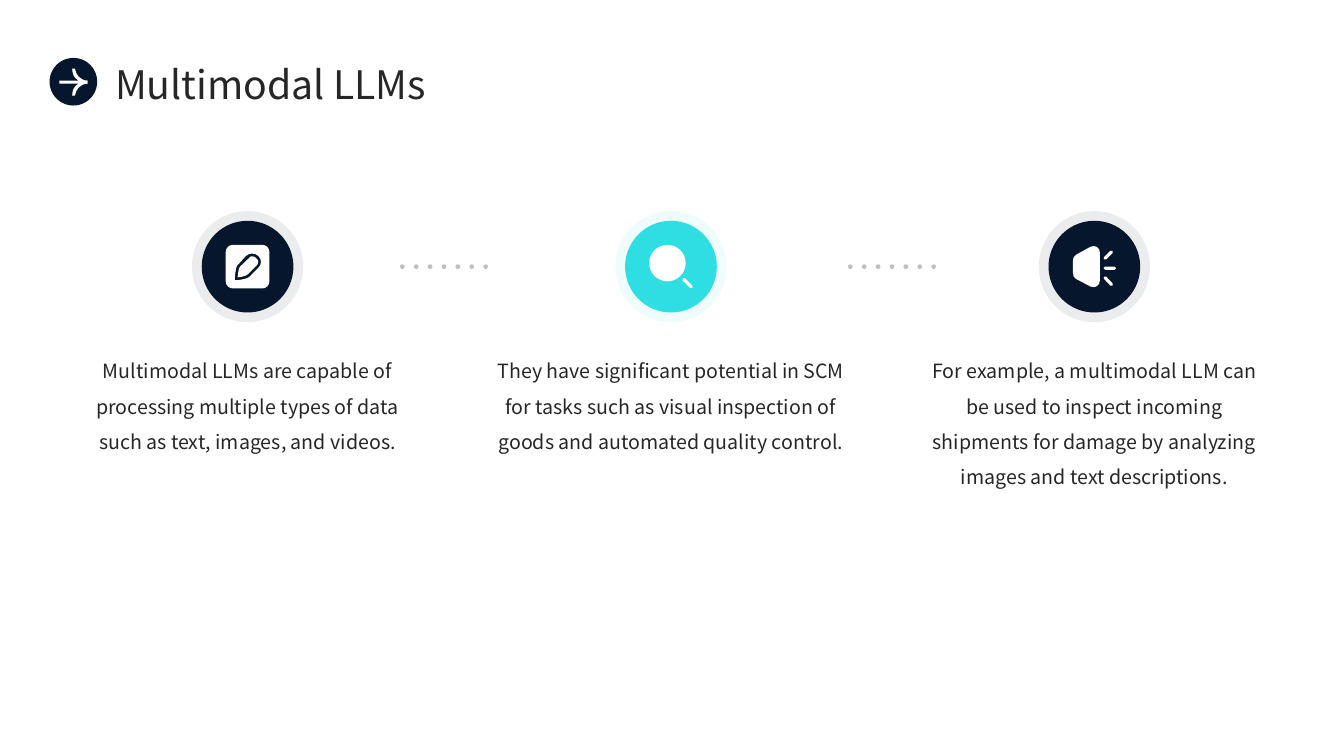
from math import hypot

from lxml.etree import SubElement
from pptx import Presentation
from pptx.dml.color import RGBColor
from pptx.enum.shapes import MSO_SHAPE
from pptx.enum.text import MSO_ANCHOR, MSO_AUTO_SIZE, PP_ALIGN
from pptx.oxml.ns import qn
from pptx.util import Cm, Pt

NAVY = RGBColor(0x06, 0x16, 0x2D)
CYAN = RGBColor(0x2E, 0xDE, 0xE2)
WHITE = RGBColor(0xFF, 0xFF, 0xFF)
GREY = RGBColor(0xBF, 0xBF, 0xBF)
INK = RGBColor(0x26, 0x26, 0x26)
FONT = "Noto Sans CJK SC"

ICON_Y = 6.72
FIRST_X, PITCH = 6.24, 10.67

# A contour is a start point and its segments: one point is a line, three a cubic curve.
PENCIL_OUTER = ((.11, -.33), [
    [(.06, -.33), (0, -.31), (-.04, -.27)],
    [(-.25, -.04)],
    [(-.32, .03), (-.32, .34), (-.32, .34)],
    [(-.32, .34), (-.02, .34), (.06, .24)],
    [(.27, .03)],
    [(.36, -.05), (.36, -.19), (.27, -.27)],
    [(.23, -.31), (.17, -.33), (.11, -.33)],
])
PENCIL_INNER = ((.11, -.26), [
    [(.15, -.26), (.19, -.25), (.21, -.22)],
    [(.29, -.17), (.29, -.07), (.21, -.01)],
    [(.01, .19)],
    [(-.03, .23), (-.14, .26), (-.25, .27)],
    [(-.24, .14), (-.22, .03), (-.19, 0)],
    [(.04, -.22)],
    [(.05, -.25), (.08, -.26), (.11, -.26)],
])
HORN = ((-.54, .16), [
    [(-.54, -.15)],
    [(-.54, -.22), (-.52, -.27), (-.46, -.30)],
    [(-.10, -.50)],
    [(.02, -.56), (.14, -.48), (.14, -.35)],
    [(.14, .34)],
    [(.14, .47), (.02, .56), (-.10, .50)],
    [(-.46, .31)],
    [(-.52, .28), (-.54, .22), (-.54, .16)],
])
ARROW = ((-.35, -.04), [
    [(.13, -.04)],
    [(.02, -.10), (-.03, -.20), (-.03, -.34)],
    [(.04, -.34)],
    [(.06, -.19), (.17, -.04), (.36, -.04)],
    [(.36, .04)],
    [(.17, .04), (.06, .19), (.04, .34)],
    [(-.03, .34)],
    [(-.03, .20), (.02, .10), (.13, .04)],
    [(-.35, .04)],
])


def circle(cx, cy, r):
    k = .55 * r
    return (cx + r, cy), [
        [(cx + r, cy + k), (cx + k, cy + r), (cx, cy + r)],
        [(cx - k, cy + r), (cx - r, cy + k), (cx - r, cy)],
        [(cx - r, cy - k), (cx - k, cy - r), (cx, cy - r)],
        [(cx + k, cy - r), (cx + r, cy - k), (cx + r, cy)],
    ]


def capsule(x1, y1, x2, y2, r=.04):
    """Return the contour of a thick line with round ends."""
    length = hypot(x2 - x1, y2 - y1)
    ux, uy = (x2 - x1) / length * r, (y2 - y1) / length * r
    kx, ky = 4 / 3 * ux, 4 / 3 * uy
    a, b = (x1 - uy, y1 + ux), (x2 - uy, y2 + ux)
    c, d = (x2 + uy, y2 - ux), (x1 + uy, y1 - ux)
    return a, [
        [b], [(b[0] + kx, b[1] + ky), (c[0] + kx, c[1] + ky), c],
        [d], [(d[0] - kx, d[1] - ky), (a[0] - kx, a[1] - ky), a],
    ]


def rounded_square(h, r):
    """Return a contour around the origin with half side h and corner radius r."""
    i, k = h - r, h - .45 * r
    return (-i, -h), [
        [(i, -h)], [(k, -h), (h, -k), (h, -i)],
        [(h, i)], [(h, k), (k, h), (i, h)],
        [(-i, h)], [(-k, h), (-h, k), (-h, i)],
        [(-h, -i)], [(-h, -k), (-k, -h), (-i, -h)],
    ]


PENCIL_ICON = [PENCIL_INNER, PENCIL_OUTER, rounded_square(.55, .18)]
MAGNIFIER_ICON = [capsule(.32, .32, .51, .51), circle(-.09, -.09, .46)]
SPEAKER_ICON = [capsule(.27, .28, .43, .45), capsule(.27, .04, .51, .04),
                capsule(.27, -.21, .43, -.37), HORN]


def paint(sp, fill, alpha=None):
    """Fill without outline or shadow; alpha is an opacity in percent."""
    sp.shadow.inherit = False
    sp.line.fill.background()
    sp.fill.solid()
    sp.fill.fore_color.rgb = fill
    if alpha is not None:
        color = sp._element.spPr.find(qn("a:solidFill"))[0]
        SubElement(color, qn("a:alpha")).set("val", str(alpha * 1000))


def add_disc(s, x, y, size, fill, alpha=None):
    sp = s.shapes.add_shape(MSO_SHAPE.OVAL, Cm(x - size / 2), Cm(y - size / 2),
                            Cm(size), Cm(size))
    paint(sp, fill, alpha)


def add_outline(s, x, y, contours, fill):
    """Draw contours, given as offsets from (x, y), as one freeform."""
    def place(point):
        return Cm(x + point[0]), Cm(y + point[1])

    builder = s.shapes.build_freeform(*place(contours[0][0]))
    for i, (start, segments) in enumerate(contours):
        if i:
            builder.move_to(*place(start))
        builder.add_line_segments([place(p) for seg in segments for p in seg], close=True)
    sp = builder.convert_to_shape()

    # The builder only makes lines: join the three points of each curve.
    lines = sp._element.spPr.iter(qn("a:lnTo"))
    lines = iter(list(lines))
    for _, segments in contours:
        for seg in segments:
            first, *others = [next(lines) for _ in seg]
            if others:
                first.tag = qn("a:cubicBezTo")
                for line in others:
                    first.append(line[0])
                    line.getparent().remove(line)
    paint(sp, fill)


def add_dots(s, first_x, count=7, pitch=.35):
    dots = [circle(i * pitch, 0, .06) for i in range(count)]
    add_outline(s, first_x, ICON_Y, dots, GREY)


def write(tf, text, size, align, spacing, anchor):
    tf.word_wrap = True
    tf.auto_size = MSO_AUTO_SIZE.NONE
    tf.margin_left = tf.margin_right = tf.margin_top = tf.margin_bottom = 0
    tf.vertical_anchor = anchor
    p = tf.paragraphs[0]
    p.alignment = align
    p.line_spacing = spacing
    r = p.add_run()
    r.text = text
    r.font.name = FONT
    r.font.size = Pt(size)
    r.font.color.rgb = INK


def add_title(s, text):
    sp = s.shapes.title
    sp.left, sp.top, sp.width, sp.height = Cm(2.9), Cm(1.46), Cm(29.08), Cm(1.2)
    write(sp.text_frame, text, 28, PP_ALIGN.LEFT, 1.1, MSO_ANCHOR.MIDDLE)


def add_column(s, x, color, icon, text, width=8.81):
    add_disc(s, x, ICON_Y, 2.8, color, alpha=8)
    add_disc(s, x, ICON_Y, 2.31, color)
    add_outline(s, x, ICON_Y, icon, WHITE)
    tb = s.shapes.add_textbox(Cm(x - width / 2), Cm(8.76), Cm(width), Cm(6.1))
    write(tb.text_frame, text, 14, PP_ALIGN.CENTER, 1.5, MSO_ANCHOR.TOP)


def main():
    prs = Presentation()
    prs.slide_width, prs.slide_height = Cm(33.87), Cm(19.05)
    s = prs.slides.add_slide(prs.slide_layouts[5])
    add_title(s, "Multimodal LLMs")
    add_disc(s, 1.85, 2.06, 1.2, NAVY)
    add_outline(s, 1.85, 2.07, [ARROW], WHITE)
    for first_x in (10.14, 21.43):
        add_dots(s, first_x)
    columns = [
        (NAVY, PENCIL_ICON, "Multimodal LLMs are capable of processing multiple types of data such as text, images, and videos."),
        (CYAN, MAGNIFIER_ICON, "They have significant potential in SCM for tasks such as visual inspection of goods and automated quality control."),
        (NAVY, SPEAKER_ICON, "For example, a multimodal LLM can be used to inspect incoming shipments for damage by analyzing images and text descriptions."),
    ]
    for i, column in enumerate(columns):
        add_column(s, FIRST_X + i * PITCH, *column)
    prs.save("out.pptx")


if __name__ == "__main__":
    main()
